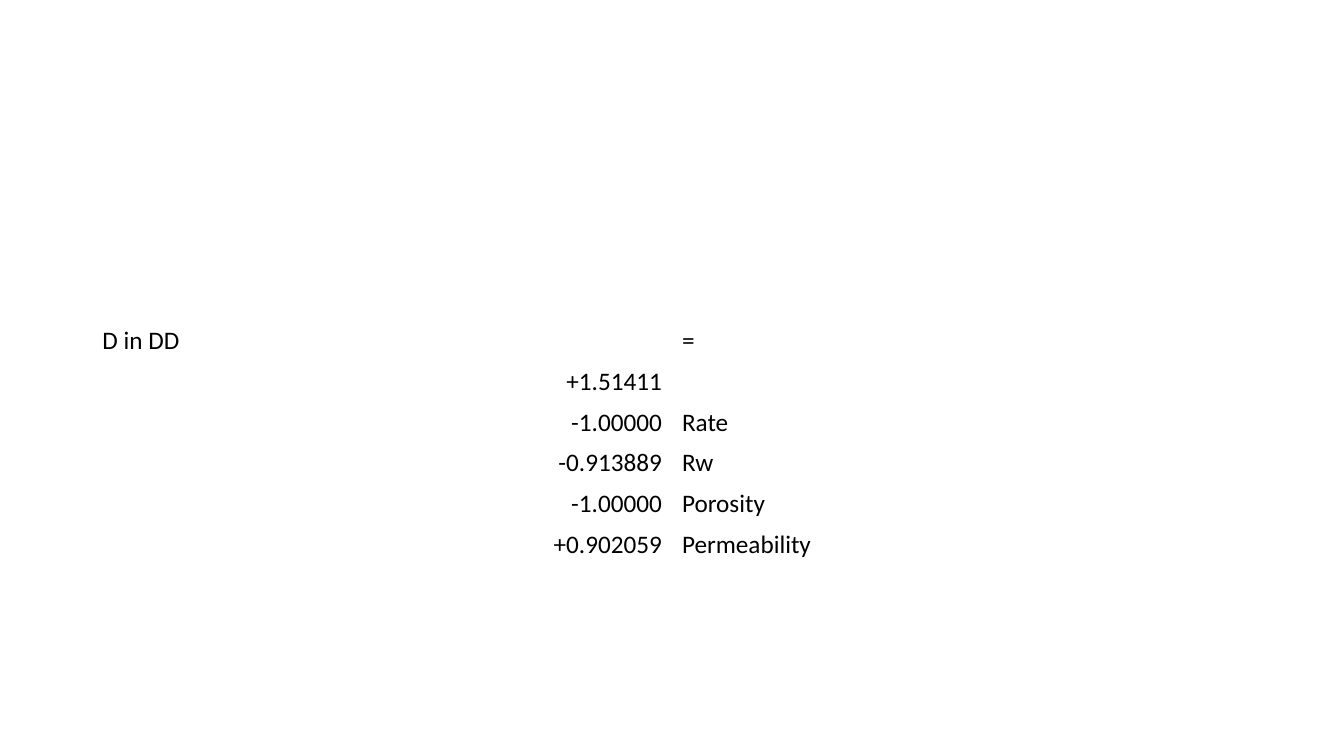
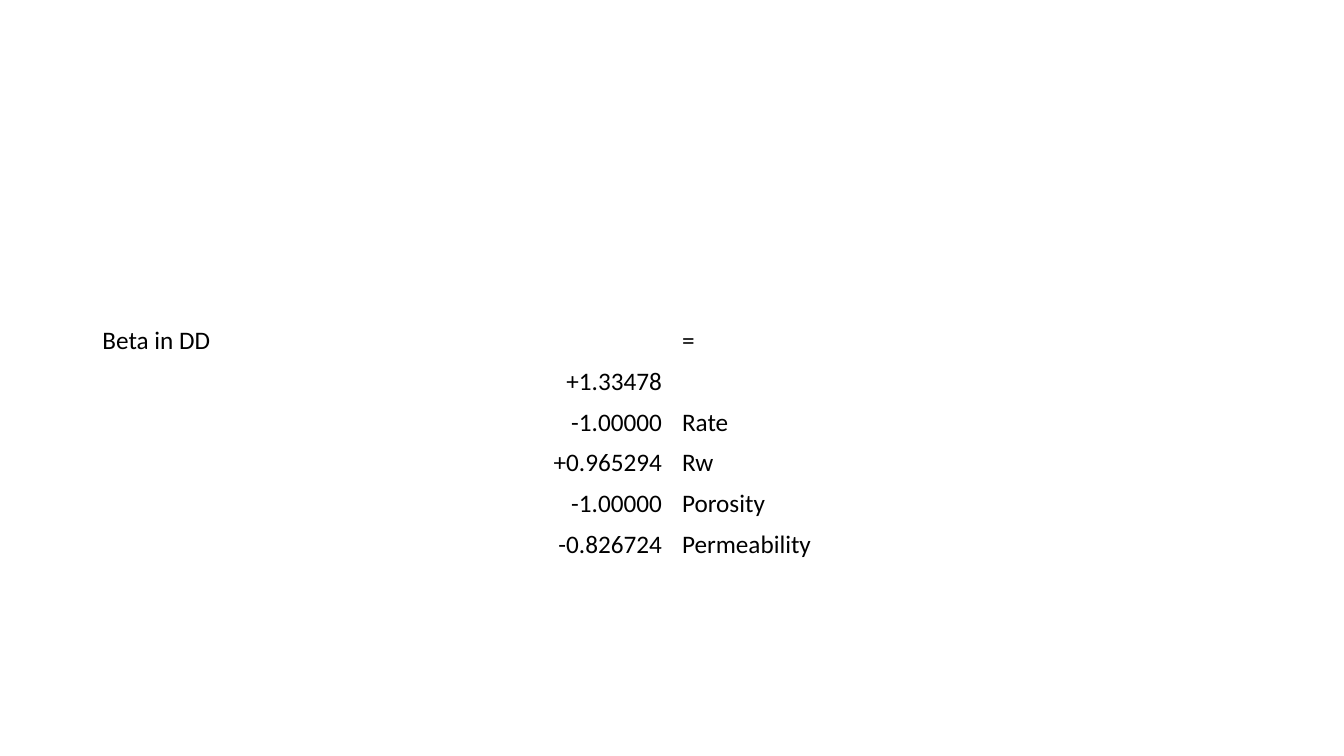
from dataclasses import dataclass

from pptx import Presentation
from pptx import util as u
from pptx.dml.color import RGBColor
from pptx.enum import text

EMU_PER_PX = 9525
BLANK_LAYOUT = 6


def px(length):
    return u.Emu(length * EMU_PER_PX)


@dataclass(frozen=True)
class Theme:
    font: str = "Calibri"
    body_size: int = 18
    ink: RGBColor = RGBColor(0x00, 0x00, 0x00)
    paper: RGBColor = RGBColor(0xFF, 0xFF, 0xFF)


class Deck:
    def __init__(self, theme):
        self.theme = theme
        self.show = Presentation()
        self.show.slide_width, self.show.slide_height = px(1280), px(720)
        self.page = None

    def new_page(self):
        layout = self.show.slide_layouts[BLANK_LAYOUT]
        self.page = self.show.slides.add_slide(layout)
        fill = self.page.background.fill
        fill.solid()
        fill.fore_color.rgb = self.theme.paper

    def table(self, rows, left, top, width, row_height):
        frame = self.page.shapes.add_table(
            len(rows), len(rows[0]), px(left), px(top),
            px(width), px(row_height * len(rows)))
        table = frame.table
        table.first_row = table.horz_banding = False
        for row_index, row in enumerate(rows):
            for column_index, (words, align) in enumerate(row):
                self.fill_cell(table.cell(row_index, column_index), words, align)

    def fill_cell(self, cell, words, align):
        cell.fill.solid()
        cell.fill.fore_color.rgb = self.theme.paper
        cell.vertical_anchor = text.MSO_ANCHOR.MIDDLE
        if not words:
            return
        para = cell.text_frame.paragraphs[0]
        para.alignment = align
        span = para.add_run()
        span.text = words
        span.font.name = self.theme.font
        span.font.size = u.Pt(self.theme.body_size)
        span.font.color.rgb = self.theme.ink

    def equation_page(self, response, coefficients):
        """Show a response as an intercept plus one coefficient per factor."""
        left, right = text.PP_ALIGN.LEFT, text.PP_ALIGN.RIGHT
        rows = [((response, left), ("=", left))]
        rows += [((number, right), (term, left))
                 for number, term in zip(coefficients, TERMS)]
        self.new_page()
        self.table(rows, left=88, top=305, width=1104, row_height=38)


TERMS = ("", "Rate", "Rw", "Porosity", "Permeability")
EQUATIONS = {
    "D in DD": ("+1.51411", "-1.00000", "-0.913889", "-1.00000", "+0.902059"),
    "Beta in DD": ("+1.33478", "-1.00000", "+0.965294", "-1.00000", "-0.826724"),
}


def main():
    deck = Deck(Theme())
    for response, coefficients in EQUATIONS.items():
        deck.equation_page(response, coefficients)
    deck.show.save("out.pptx")


if __name__ == "__main__":
    main()
